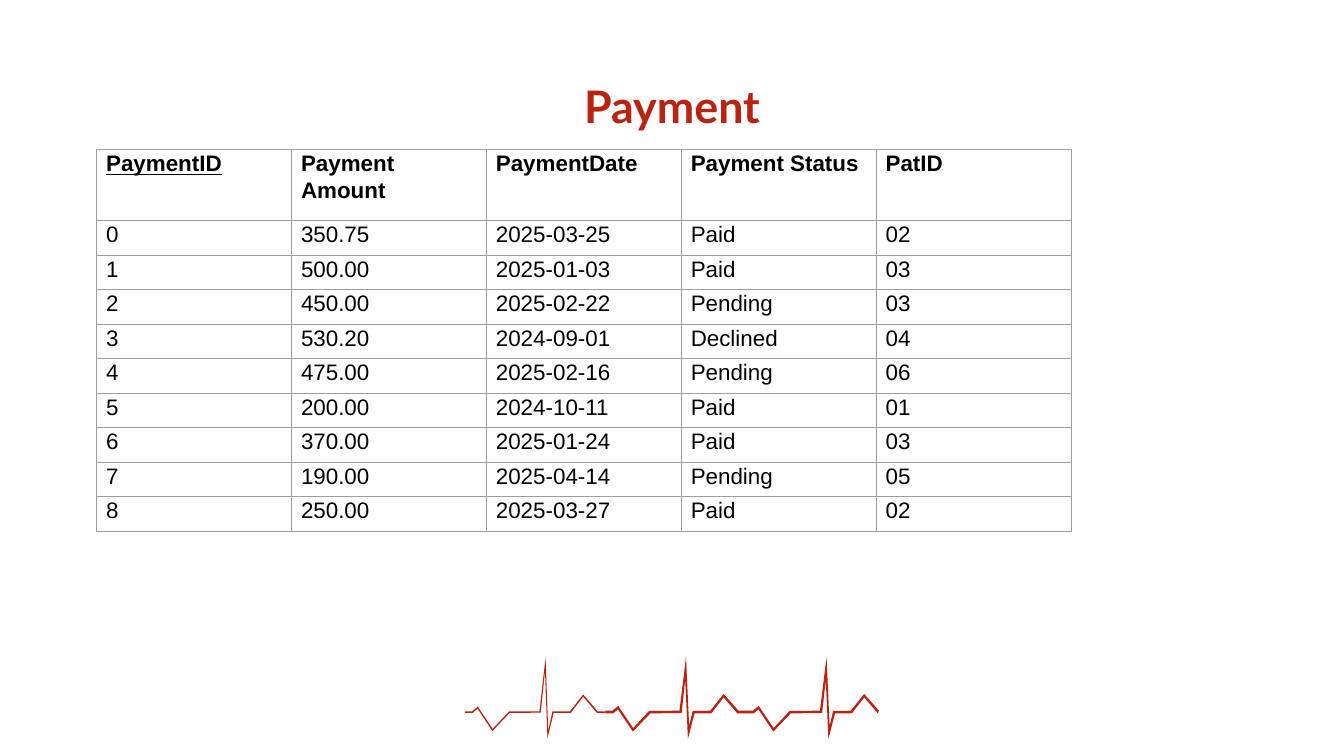
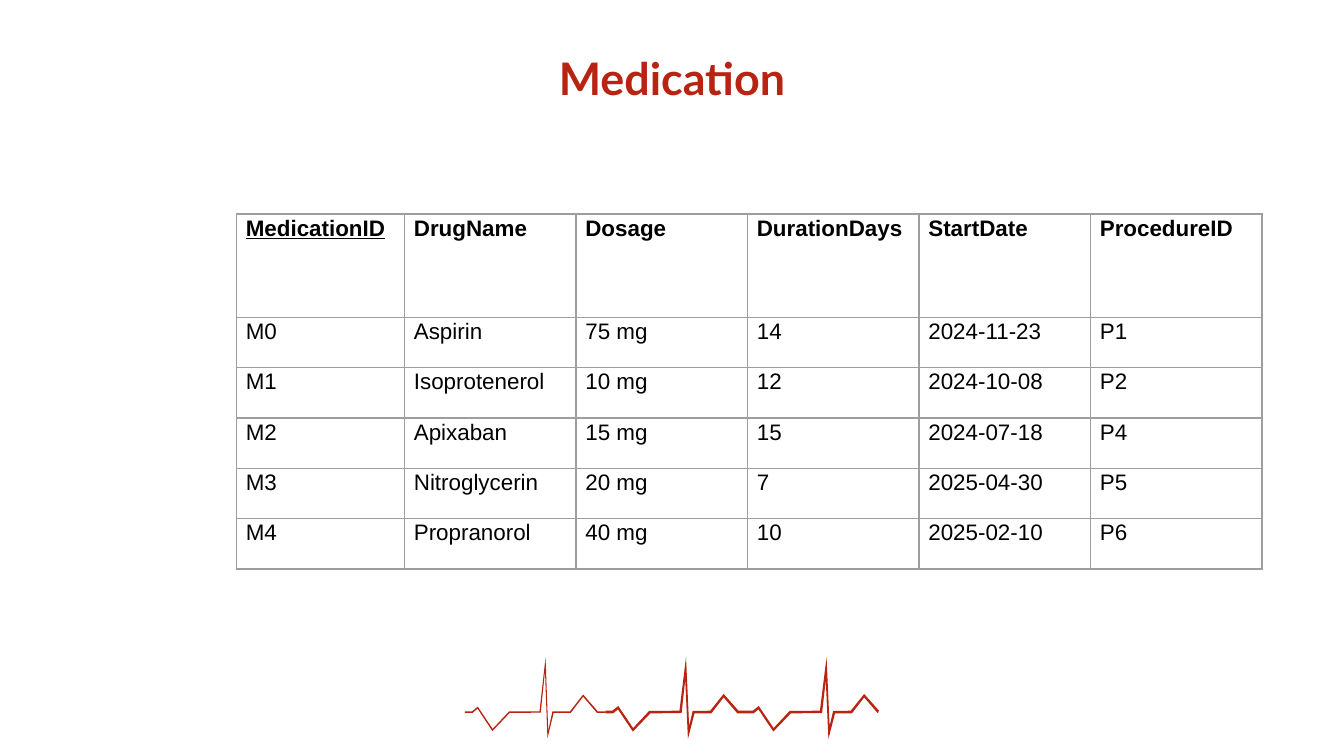
"""Build two slides of hospital records, Payment and Medication, with a shared heartbeat footer."""
from itertools import pairwise
from math import atan2, cos, sin
from lxml.etree import SubElement
from pptx import Presentation
from pptx.dml.color import RGBColor
from pptx.enum.text import MSO_ANCHOR, MSO_AUTO_SIZE, PP_ALIGN
from pptx.oxml.ns import qn
from pptx.util import Inches, Pt


def color(code):
    return RGBColor.from_string(code)


def ribbon(trace, half):
    slopes = [atan2(y2 - y1, x2 - x1) for (x1, y1), (x2, y2) in pairwise(trace)]
    above, below = [], []
    for (x, y), (come, leave) in zip(trace, pairwise([0, *slopes, 0])):
        mid, turn = (come + leave) / 2, leave - come
        inner = half / cos(turn / 2)
        up, down = (half, inner) if turn > 0 else (inner, half)
        above.append((x + up * sin(mid), y - up * cos(mid)))
        below.append((x - down * sin(mid), y + down * cos(mid)))
    return above + below[::-1]


RED, GREY, BLACK = "B82312", "9E9E9E", "000000"

deck = Presentation()
deck.slide_width, deck.slide_height = Inches(10), Inches(5.625)
col, row = deck.slide_width / 100, deck.slide_height / 100

mil = Inches(1) / 1000
lead = [(55, 0), (95, -35), (205, 135), (330, 0)]
spike = [(560, 0), (600, -400), (615, 190), (655, 0)]
tail = [(785, 0), (880, -125), (985, 0)]
trace = [(0, 0), *lead, *spike, *tail, (1045, 0)]
thin, bold = 6, 10
beats = [(trace, thin), (trace, bold), (trace[:-1], bold)]
start, pitch, base = 34.6, 10.45, 94.2

pages = [
    {"title": "Payment", "head": (8.6, 11.2), "grid": (7.2, 19.8, 72.5, 50.5),
     "first": (14.5, 9.42), "rows": [
        ("PaymentID", "Payment Amount", "PaymentDate", "Payment Status", "PatID"),
        ("0", "350.75", "2025-03-25", "Paid", "02"),
        ("1", "500.00", "2025-01-03", "Paid", "03"),
        ("2", "450.00", "2025-02-22", "Pending", "03"),
        ("3", "530.20", "2024-09-01", "Declined", "04"),
        ("4", "475.00", "2025-02-16", "Pending", "06"),
        ("5", "200.00", "2024-10-11", "Paid", "01"),
        ("6", "370.00", "2025-01-24", "Paid", "03"),
        ("7", "190.00", "2025-04-14", "Pending", "05"),
        ("8", "250.00", "2025-03-27", "Paid", "02")]},
    {"title": "Medication", "head": (4.9, 7.8), "grid": (17.6, 28.3, 76.3, 47),
     "first": (12.5, 13.69), "rows": [
        ("MedicationID", "DrugName", "Dosage", "DurationDays", "StartDate", "ProcedureID"),
        ("M0", "Aspirin", "75 mg", "14", "2024-11-23", "P1"),
        ("M1", "Isoprotenerol", "10 mg", "12", "2024-10-08", "P2"),
        ("M2", "Apixaban", "15 mg", "15", "2024-07-18", "P4"),
        ("M3", "Nitroglycerin", "20 mg", "7", "2025-04-30", "P5"),
        ("M4", "Propranorol", "40 mg", "10", "2025-02-10", "P6")]},
]

for page in pages:
    slide = deck.slides.add_slide(deck.slide_layouts[5])

    pulse = slide.shapes.add_group_shape()
    for i, (line, half) in enumerate(beats):
        rim = ribbon(line, half)
        pen = pulse.shapes.build_freeform(*rim[0], scale=mil)
        pen.add_line_segments(rim[1:], close=True)
        wave = pen.convert_to_shape(int((start + pitch * i) * col), int(base * row))
        wave.shadow.inherit = False
        wave.fill.solid()
        wave.fill.fore_color.rgb = color(RED)
        wave.line.fill.background()

    title = slide.shapes.title
    top, tall = page["head"]
    title.left, title.top = int(7.85 * col), int(top * row)
    title.width, title.height = int(84.3 * col), int(tall * row)
    frame = title.text_frame
    frame.text = page["title"]
    frame.word_wrap = True
    frame.auto_size = MSO_AUTO_SIZE.NONE
    frame.vertical_anchor = MSO_ANCHOR.TOP
    frame.margin_left = frame.margin_right = Inches(0.1)
    frame.margin_top = frame.margin_bottom = Inches(0.1)
    para = frame.paragraphs[0]
    para.alignment = PP_ALIGN.CENTER
    para.font.name, para.font.size, para.font.bold = "Lato", Pt(24), True
    para.font.color.rgb = color(RED)

    rows = page["rows"]
    high, wide = len(rows), len(rows[0])
    left, top, span, tall = page["grid"]
    table = slide.shapes.add_table(high, wide, int(left * col), int(top * row),
                                   int(span * col), int(tall * row)).table
    table.first_row = table.horz_banding = False
    side, head = page["first"]
    for i, part in enumerate(table.columns):
        part.width = int(col * (side if i == 0 else (span - side) / (wide - 1)))
    for i, part in enumerate(table.rows):
        part.height = int(row * (head if i == 0 else (tall - head) / (high - 1)))

    for r, words in enumerate(rows):
        for c, word in enumerate(words):
            cell = table.cell(r, c)
            cell.text = word
            cell.margin_left = cell.margin_right = Inches(0.07)
            cell.margin_top = cell.margin_bottom = 0
            for tag in ("a:lnL", "a:lnR", "a:lnT", "a:lnB"):
                edge = SubElement(cell._tc.get_or_add_tcPr(), qn(tag), w=str(Pt(0.75)))
                SubElement(SubElement(edge, qn("a:solidFill")), qn("a:srgbClr"), val=GREY)
            cell.fill.background()
            para = cell.text_frame.paragraphs[0]
            para.line_spacing = 1.07
            para.font.name, para.font.size = "Arial", Pt(12)
            para.font.bold = r == 0
            para.font.underline = r == 0 and c == 0
            para.font.color.rgb = color(BLACK)

deck.save("out.pptx")
